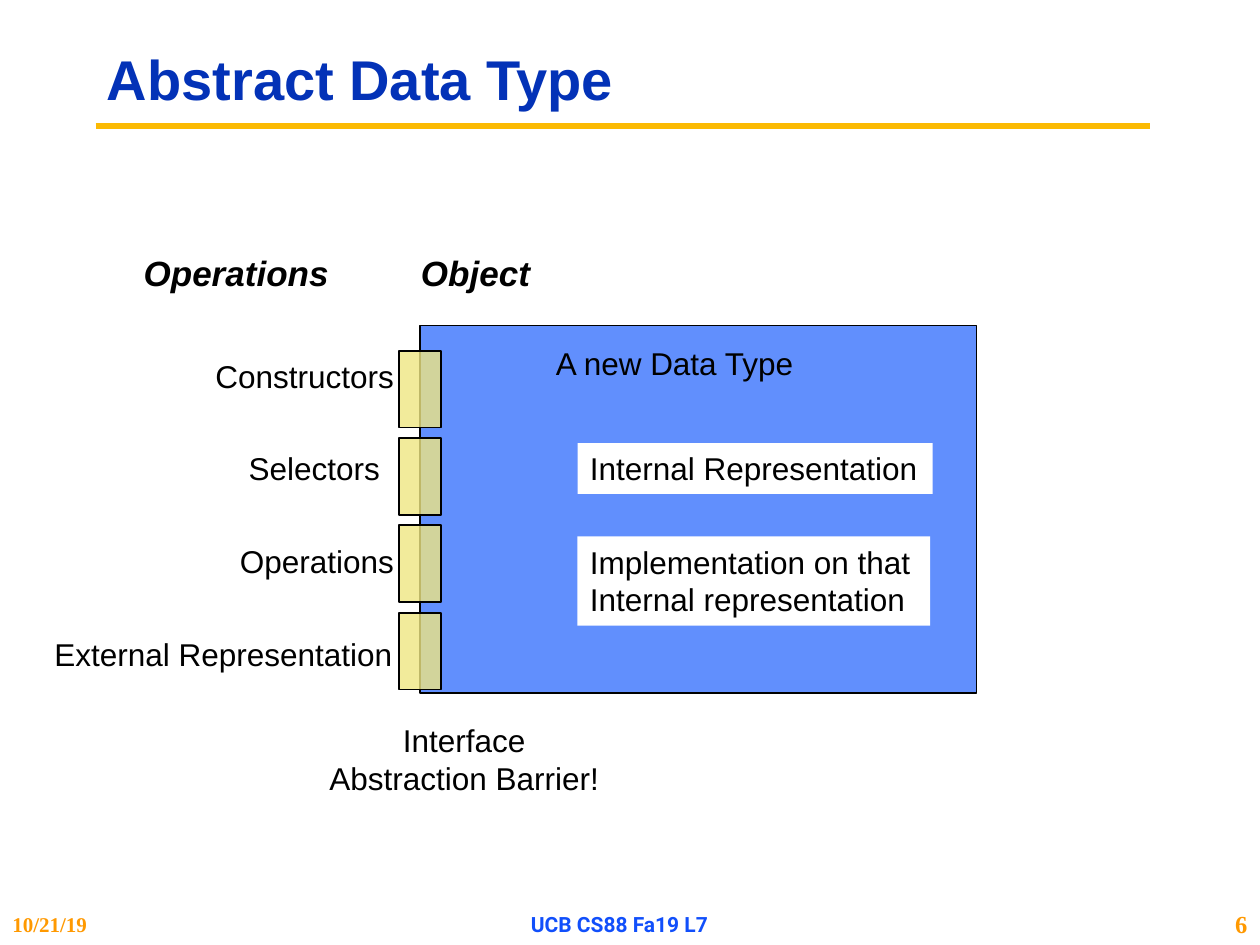
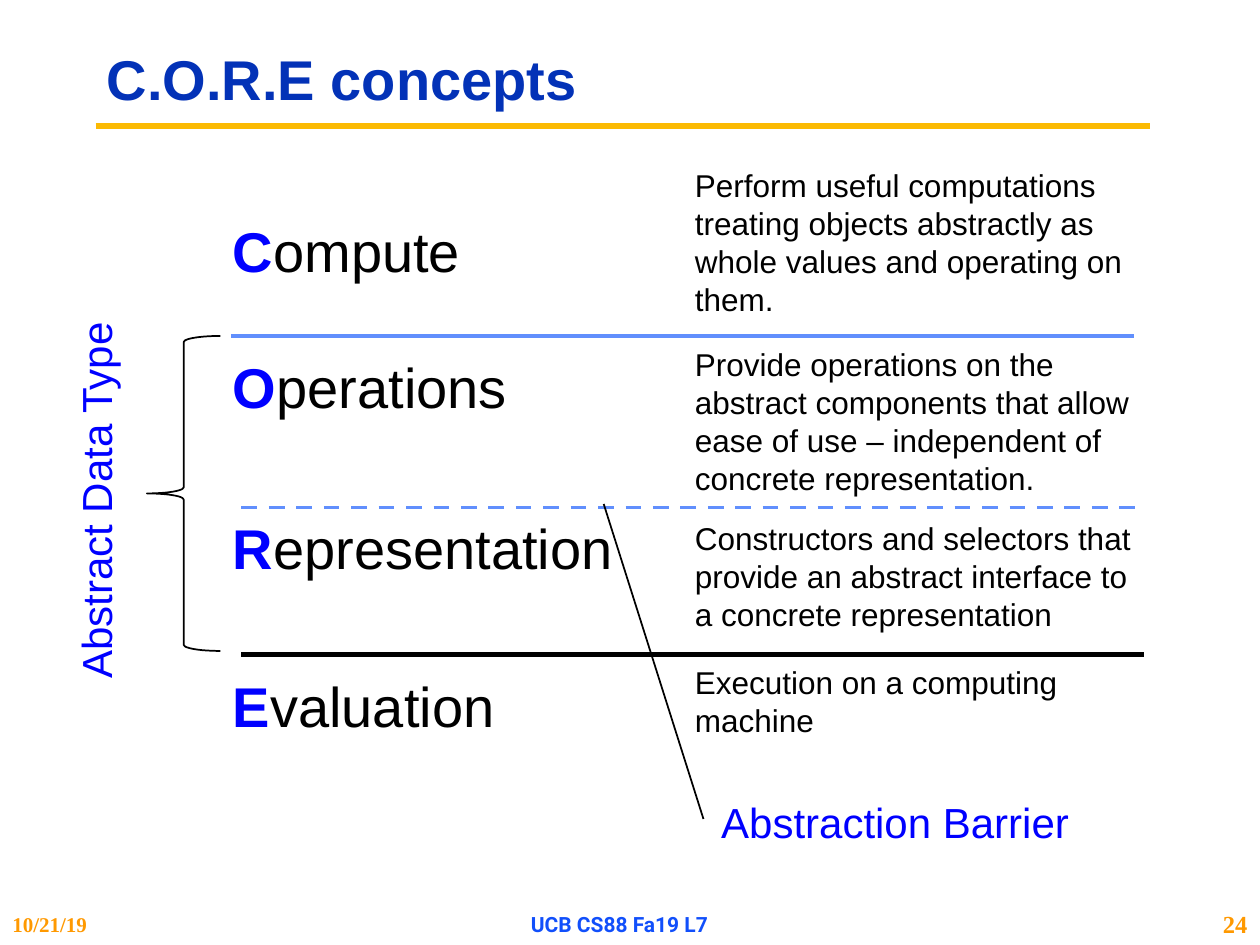
from lxml.etree import SubElement
from pptx import Presentation
from pptx.dml.color import RGBColor
from pptx.enum.dml import MSO_LINE
from pptx.enum.shapes import MSO_CONNECTOR, MSO_SHAPE
from pptx.enum.text import MSO_ANCHOR, PP_ALIGN
from pptx.oxml.ns import qn
from pptx.util import Pt

BLACK = RGBColor(0x00, 0x00, 0x00)
WHITE = RGBColor(0xFF, 0xFF, 0xFF)
GOLD = RGBColor(0xFB, 0xBA, 0x03)
NAVY = RGBColor(0x03, 0x32, 0xB7)
ORANGE = RGBColor(0xFF, 0x99, 0x00)
FOOTER_BLUE = RGBColor(0x11, 0x4F, 0xFB)
SKY = RGBColor(0x61, 0x8F, 0xFD)
BLUE = RGBColor(0x00, 0x00, 0xFF)
CREAM = RGBColor(0xEF, 0xE6, 0x83)

SANS, SERIF, FOOTER_FONT = "Arial", "Times New Roman", "Roboto"


class Deck:
    """Holds the presentation style and the slide being drawn."""

    def __init__(self):
        self.prs = Presentation()
        self.prs.slide_width, self.prs.slide_height = Pt(720), Pt(540)
        self.s = None

    def new_slide(self, title, number):
        self.s = self.prs.slides.add_slide(self.prs.slide_layouts[6])
        self.line(54.72, 72, 657.36, 72, GOLD, 3.75)
        tb = self.text(title, 54, 18, 606, 58.5, size=32, color=NAVY, bold=True,
                       anchor=MSO_ANCHOR.MIDDLE)
        tb.text_frame.paragraphs[0].line_spacing = 0.9
        footers = [
            ("10/21/19", 0, 120, 12, SERIF, ORANGE, PP_ALIGN.LEFT),
            ("UCB CS88 Fa19 L7", 240, 228, 12, FOOTER_FONT, FOOTER_BLUE, PP_ALIGN.CENTER),
            (str(number), 678, 42, 14, SERIF, ORANGE, PP_ALIGN.RIGHT),
        ]
        for text, x, w, size, font, color, align in footers:
            self.text(text, x, 516, w, 24, size=size, font=font, color=color,
                      bold=True, align=align, anchor=MSO_ANCHOR.MIDDLE)

    def text(self, text, x, y, w, h, size=18, font=SANS, color=BLACK, bold=False,
             italic=False, align=PP_ALIGN.LEFT, anchor=MSO_ANCHOR.TOP,
             wrap=False, fill=None):
        """Add a text box; each line of text becomes a paragraph."""
        tb = self.s.shapes.add_textbox(Pt(x), Pt(y), Pt(w), Pt(h))
        if fill is not None:
            tb.fill.solid()
            tb.fill.fore_color.rgb = fill
        tf = tb.text_frame
        tf.word_wrap = wrap
        tf.vertical_anchor = anchor
        tf.text = text
        for p in tf.paragraphs:
            p.alignment = align
            p.font.size, p.font.name = Pt(size), font
            p.font.bold, p.font.italic = bold, italic
            p.font.color.rgb = color
        return tb

    def term(self, word, x, y, w, h):
        """Add a large word with its initial in bold blue."""
        p = self.text(word[0], x, y, w, h, size=32).text_frame.paragraphs[0]
        initial = p.runs[0]
        initial.font.bold = True
        initial.font.color.rgb = BLUE
        p.add_run().text = word[1:]

    def shape(self, kind, x, y, w, h, fill=None, alpha=None):
        """Add a black-outlined shape; alpha is its opacity in percent."""
        sp = self.s.shapes.add_shape(kind, Pt(x), Pt(y), Pt(w), Pt(h))
        sp.shadow.inherit = False
        sp.line.color.rgb, sp.line.width = BLACK, Pt(1)
        if fill is None:
            sp.fill.background()
        else:
            sp.fill.solid()
            sp.fill.fore_color.rgb = fill
        if alpha is not None:
            clr = sp.fill._xPr.find(qn("a:solidFill"))[0]
            SubElement(clr, qn("a:alpha"), val=str(alpha * 1000))
        return sp

    def line(self, x1, y1, x2, y2, color, width, dash=None):
        cn = self.s.shapes.add_connector(MSO_CONNECTOR.STRAIGHT,
                                         Pt(x1), Pt(y1), Pt(x2), Pt(y2))
        cn.line.color.rgb, cn.line.width = color, Pt(width)
        if dash is not None:
            cn.line.dash_style = dash
        SubElement(cn._element.spPr, qn("a:effectLst"))


def abstract_data_type(deck):
    deck.new_slide("Abstract Data Type", 6)
    deck.text("Operations", 75, 140, 121, 31.5, size=20, bold=True, italic=True)
    deck.text("Object", 233.5, 140, 77, 31.5, size=20, bold=True, italic=True)

    deck.shape(MSO_SHAPE.RECTANGLE, 240, 186, 318, 210, SKY)
    deck.text("A new Data Type", 310.5, 193, 151, 29)
    deck.text("Internal Representation", 330, 253.2, 203, 29, fill=WHITE)
    deck.text("Implementation on that\nInternal representation",
              330, 306.5, 201.5, 51, fill=WHITE)

    labels = [("Constructors", 116, 117), ("Selectors", 135, 90),
              ("Operations", 130, 104), ("External Representation", 24, 209.5)]
    for i, (label, x, w) in enumerate(labels):
        deck.text(label, x, 200.2 + 53 * i, w, 29)
        deck.shape(MSO_SHAPE.RECTANGLE, 228, 200.4 + 49.9 * i, 24, 44, CREAM, alpha=80)

    deck.text("Interface\nAbstraction Barrier!", 160.5, 408.5, 209.5, 51,
              align=PP_ALIGN.CENTER)


def core_concepts(deck):
    deck.new_slide("C.O.R.E concepts", 24)
    concepts = [
        ("Compute", 120, 145.5, 91.5, 288,
         "Perform useful computations treating objects abstractly as whole values "
         "and operating on them."),
        ("Operations", 198, 173, 193.7, 276,
         "Provide operations on the abstract components that allow ease of use – "
         "independent of concrete representation."),
        ("Representation", 290, 234, 293.3, 276,
         "Constructors and selectors that provide an abstract interface to a "
         "concrete representation"),
        ("Evaluation", 380, 165.5, 375.3, 276, "Execution on a computing machine"),
    ]
    for word, word_y, word_w, y, w, meaning in concepts:
        deck.term(word, 126, word_y, word_w, 46)
        deck.text(meaning, 390, y, w, 94, wrap=True)

    deck.line(132, 192, 648, 192, SKY, 2.25)
    deck.line(138, 290, 654, 290, SKY, 2.25, MSO_LINE.DASH)
    deck.line(138, 374, 654, 374, BLACK, 3)

    brace = deck.shape(MSO_SHAPE.LEFT_BRACE, 84, 192, 42, 180)
    brace.adjustments[0] = 0.083
    side = deck.text("Abstract Data Type", -56, 266.5, 221, 36, size=24, color=BLUE)
    side.rotation = 270
    deck.text("Abstraction Barrier", 405, 451.5, 217, 36, size=24, color=BLUE)
    deck.line(345, 288, 402, 468, BLACK, 1)


def main():
    deck = Deck()
    abstract_data_type(deck)
    core_concepts(deck)
    deck.prs.save("out.pptx")


if __name__ == "__main__":
    main()
